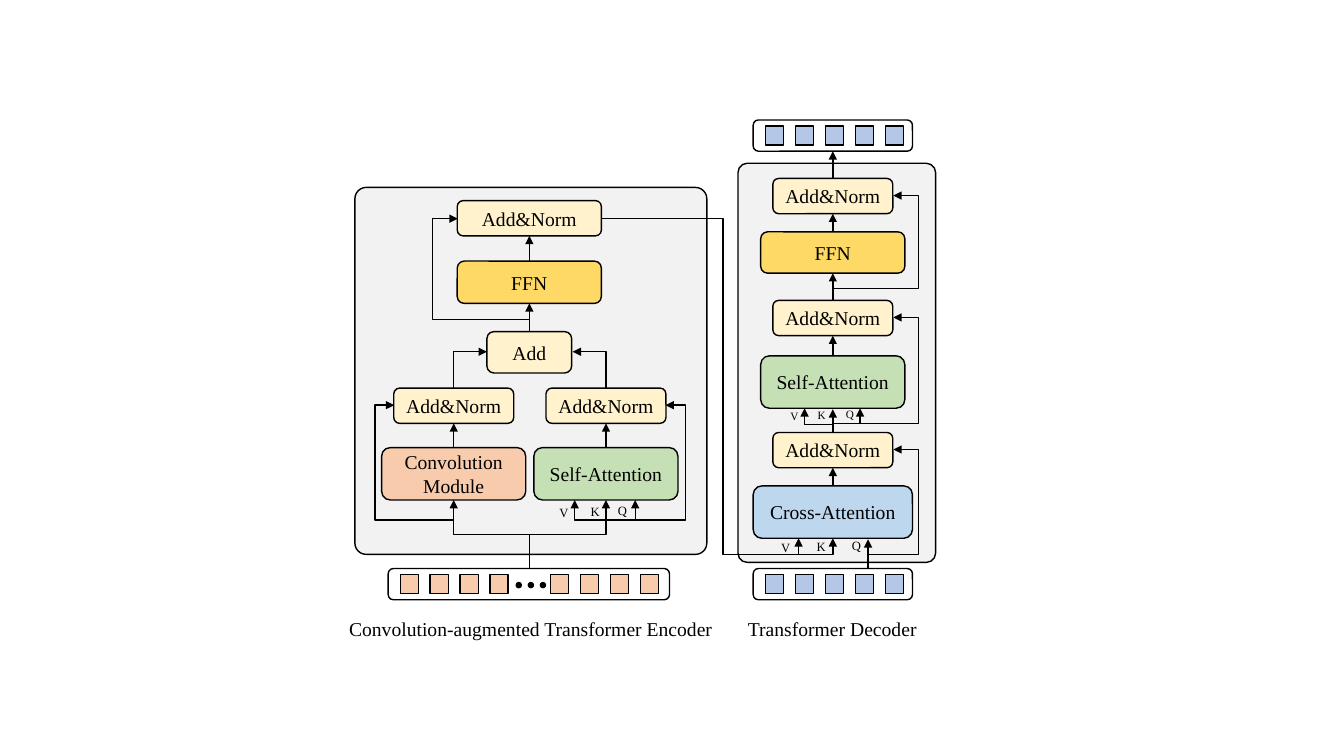
from lxml import etree
from pptx import Presentation
from pptx.dml.color import RGBColor
from pptx.enum.shapes import MSO_CONNECTOR, MSO_SHAPE
from pptx.enum.text import MSO_ANCHOR, PP_ALIGN
from pptx.oxml.ns import qn
from pptx.util import Inches, Pt

RECT, ROUNDED, OVAL = MSO_SHAPE.RECTANGLE, MSO_SHAPE.ROUNDED_RECTANGLE, MSO_SHAPE.OVAL
STRAIGHT, ELBOW = MSO_CONNECTOR.STRAIGHT, MSO_CONNECTOR.ELBOW
LEFT, CENTER, MIDDLE = PP_ALIGN.LEFT, PP_ALIGN.CENTER, MSO_ANCHOR.MIDDLE

COLORS = {
    "ink": "000000", "panel": "F2F2F2", "norm": "FFF2CC", "ffn": "FFD966",
    "conv": "F8CBAD", "self": "C5E0B4", "cross": "BDD7EE", "token": "B4C7E7",
}


class Diagram:
    def __init__(self, slide, font="Times New Roman", line_width=1):
        self.shapes = slide.shapes
        self.font = font
        self.line_width = Pt(line_width)

    def color(self, name):
        return RGBColor.from_string(COLORS[name])

    def outline(self, item):
        item.line.color.rgb = self.color("ink")
        item.line.width = self.line_width

    def set_text(self, frame, text, size, align):
        frame.word_wrap = True
        paragraph = frame.paragraphs[0]
        paragraph.text = text
        paragraph.alignment = align
        paragraph.font.name = self.font
        paragraph.font.size = Pt(size)
        paragraph.font.color.rgb = self.color("ink")

    def shape(self, preset, left, top, width, height, fill=None, corner=None):
        item = self.shapes.add_shape(
            preset, Inches(left), Inches(top), Inches(width), Inches(height))
        item.shadow.inherit = False
        if fill:
            item.fill.solid()
            item.fill.fore_color.rgb = self.color(fill)
        else:
            item.fill.background()
        if corner:
            item.adjustments[0] = corner
        self.outline(item)
        return item

    def block(self, text, center, top, width, height, fill):
        """Draw a labelled rounded block centred on a column."""
        item = self.shape(ROUNDED, center - width / 2, top, width, height, fill)
        frame = item.text_frame
        frame.vertical_anchor = MIDDLE
        frame.margin_left = frame.margin_right = Inches(0.05)
        frame.margin_top = frame.margin_bottom = 0
        self.set_text(frame, text, 14, CENTER)

    def text(self, text, left, top, width, height, size, align=LEFT):
        item = self.shapes.add_textbox(
            Inches(left), Inches(top), Inches(width), Inches(height))
        self.set_text(item.text_frame, text, size, align)

    def row(self, preset, first, last, count, top, width, height, fill):
        """Spread equal shapes evenly from the first to the last left edge."""
        step = (last - first) / (count - 1)
        for index in range(count):
            self.shape(preset, first + index * step, top, width, height, fill)

    def connector(self, kind, x1, y1, x2, y2):
        item = self.shapes.add_connector(
            kind, Inches(x1), Inches(y1), Inches(x2), Inches(y2))
        self.outline(item)
        properties = item.element.spPr
        etree.SubElement(properties.find(qn("a:ln")), qn("a:tailEnd"), type="triangle")
        etree.SubElement(properties, qn("a:effectLst"))
        return item

    def rise(self, x, bottom, top):
        self.connector(STRAIGHT, x, bottom, x, top)

    def elbow(self, *points):
        """Draw a right-angled arrow through the points, with bends as adjustments."""
        (x1, y1), (x2, y2) = points[0], points[-1]
        dx, dy = x2 - x1, y2 - y1
        upward = points[0][0] == points[1][0]
        width, height = (abs(dy), abs(dx)) if upward else (abs(dx), abs(dy))
        left, top = (x1 + x2 - width) / 2, (y1 + y2 - height) / 2
        item = self.connector(ELBOW, left, top, left + width, top + height)

        xfrm = item.element.spPr.find(qn("a:xfrm"))
        if upward:
            turn, flips = (90, ("flipH", "flipV")) if dx > 0 else (270, ("flipV",))
        else:
            turn, flips = (180 if dx < 0 else 0), ()
        xfrm.set("rot", str(turn * 60000))
        for flip in flips:
            xfrm.set(flip, "1")

        across = [(x - x1) / dx for x, _ in points]
        along = [(y - y1) / dy for _, y in points]
        main, side = (along, across) if upward else (across, along)
        bends = [main[1], side[2]][:len(points) - 3]
        geometry = item.element.spPr.find(qn("a:prstGeom"))
        geometry.set("prst", f"bentConnector{len(points) - 1}")
        guides = geometry.find(qn("a:avLst"))
        for number, bend in enumerate(bends, 1):
            etree.SubElement(guides, qn("a:gd"), name=f"adj{number}",
                             fmla=f"val {round(bend * 100000)}")

    def bypass(self, x, start, bend, rail, edge, end):
        """Draw a residual arrow from a column, along a side rail, into a block."""
        self.elbow((x, start), (x, bend), (rail, bend), (rail, end), (edge, end))

    def inputs(self, lefts, top, size):
        for index, (name, left) in enumerate(zip("VKQ", lefts)):
            self.text(name, left, top - index * 0.01, 0.32, 0.25, size)


CONV, MID, ATTN, DEC = 4.5, 5.25, 6.01, 8.26


def draw_encoder(diagram):
    diagram.shape(ROUNDED, 3.52, 1.86, 3.49, 3.64, "panel", 0.032)
    diagram.block("Convolution Module", CONV, 4.44, 1.43, 0.52, "conv")
    diagram.block("Self-Attention", ATTN, 4.44, 1.43, 0.52, "self")
    for center in (CONV, ATTN):
        diagram.block("Add&Norm", center, 3.85, 1.19, 0.35, "norm")
        diagram.rise(center, 4.44, 4.2)
        diagram.elbow((MID, 5.64), (MID, 5.3), (center, 5.3), (center, 4.96))
    diagram.block("Add", MID, 3.29, 0.84, 0.41, "norm")
    diagram.block("FFN", MID, 2.59, 1.43, 0.42, "ffn")
    diagram.block("Add&Norm", MID, 1.99, 1.43, 0.35, "norm")
    for bottom, top in ((3.29, 3.01), (2.59, 2.34)):
        diagram.rise(MID, bottom, top)
    diagram.elbow((CONV, 3.85), (CONV, 3.49), (4.83, 3.49))
    diagram.elbow((ATTN, 3.85), (ATTN, 3.49), (5.68, 3.49))
    diagram.bypass(CONV, 5.16, 5.16, 3.72, 3.91, 4.02)
    diagram.bypass(ATTN, 5.16, 5.16, 6.8, 6.6, 4.02)
    diagram.bypass(MID, 3.18, 3.17, 4.29, 4.54, 2.17)
    diagram.elbow((ATTN, 5.16), (5.7, 5.16), (5.7, 4.96), (5.7, 4.96))
    diagram.rise(6.3, 5.16, 4.96)
    diagram.inputs((5.45, 5.76, 6.03), 4.96, 9)

    diagram.row(RECT, 3.97, 4.86, 4, 5.7, 0.18, 0.19, "conv")
    diagram.row(OVAL, 5.12, 5.36, 3, 5.78, 0.05, 0.05, "ink")
    diagram.row(RECT, 5.46, 6.35, 4, 5.7, 0.18, 0.19, "conv")
    diagram.shape(ROUNDED, 3.85, 5.64, 2.79, 0.31)
    diagram.text("Convolution-augmented Transformer Encoder",
                 3.25, 6.07, 4.03, 0.34, 14, CENTER)


def draw_decoder(diagram):
    diagram.shape(ROUNDED, 7.32, 1.62, 1.96, 3.96, "panel", 0.047)
    diagram.block("Cross-Attention", DEC, 4.82, 1.58, 0.52, "cross")
    diagram.block("Self-Attention", DEC, 3.53, 1.43, 0.52, "self")
    diagram.block("FFN", DEC, 2.3, 1.43, 0.41, "ffn")
    for top in (4.29, 2.98, 1.77):
        diagram.block("Add&Norm", DEC, top, 1.19, 0.35, "norm")
    for bottom, top in ((4.82, 4.64), (4.29, 4.06), (3.53, 3.33),
                        (2.98, 2.71), (2.3, 2.12), (1.77, 1.5)):
        diagram.rise(DEC, bottom, top)
    for x, start, bend, end in ((8.61, 5.49, 5.5, 4.46), (DEC, 4.16, 4.2, 3.15),
                                (DEC, 2.86, 2.86, 1.94)):
        diagram.bypass(x, start, bend, 9.11, 8.86, end)
    diagram.elbow((DEC, 4.21), (7.98, 4.21), (7.98, 4.05), (7.98, 4.05))
    diagram.rise(8.53, 4.2, 4.05)
    diagram.inputs((7.74, 8.01, 8.29), 4.01, 8)

    diagram.elbow((5.97, 2.17), (7.17, 2.17), (7.17, 5.5), (DEC, 5.5), (DEC, 5.34))
    diagram.rise(7.92, 5.51, 5.34)
    diagram.rise(8.61, 5.64, 5.35)
    diagram.inputs((7.65, 8, 8.35), 5.31, 9)

    for top in (1.19, 5.64):
        diagram.row(RECT, 7.59, 8.78, 5, top + 0.06, 0.18, 0.19, "token")
        diagram.shape(ROUNDED, 7.47, top, 1.58, 0.31)
    diagram.text("Transformer Decoder", 6.6, 6.07, 3.31, 0.34, 14, CENTER)


def main():
    deck = Presentation()
    deck.slide_width, deck.slide_height = Inches(13.33), Inches(7.5)
    diagram = Diagram(deck.slides.add_slide(deck.slide_layouts[6]))
    draw_encoder(diagram)
    draw_decoder(diagram)
    deck.save("out.pptx")


if __name__ == "__main__":
    main()
